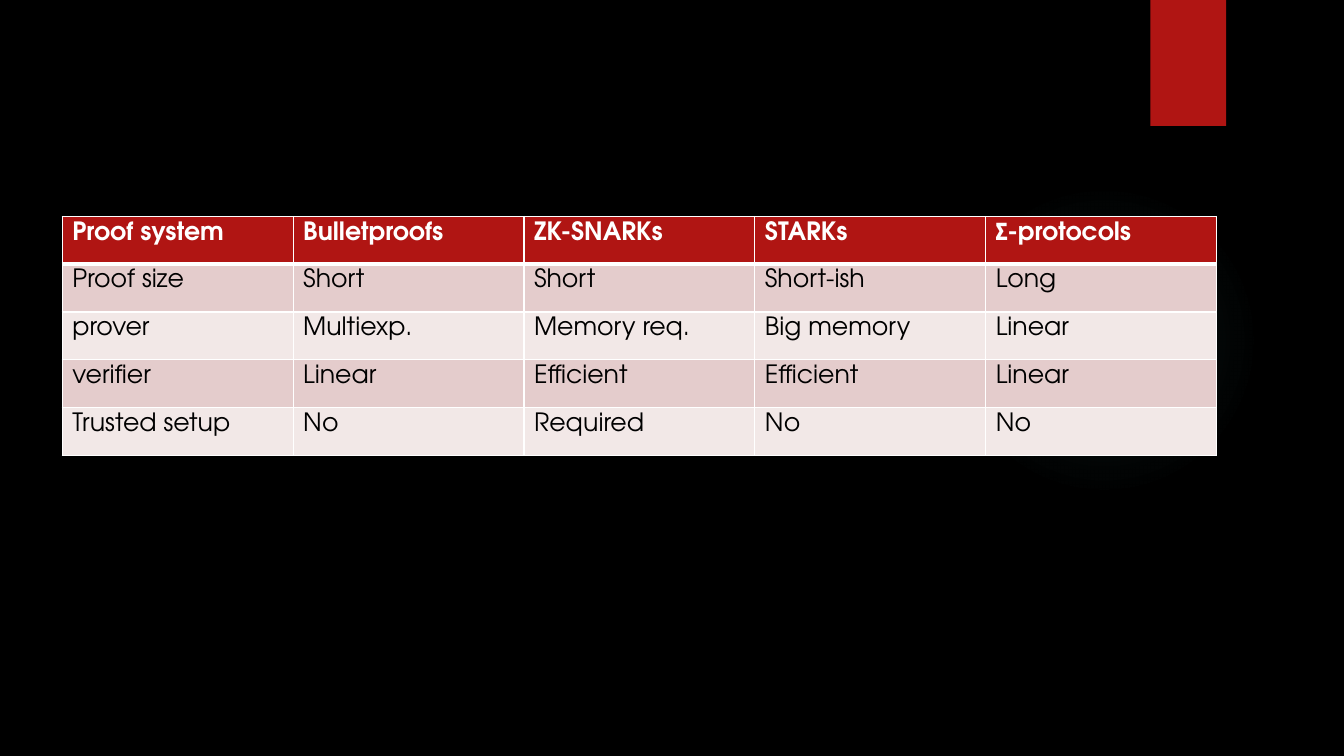
from lxml.etree import SubElement as Sub
from pptx import Presentation
from pptx.dml.color import RGBColor as RGB
from pptx.enum.shapes import MSO_SHAPE as Kind
from pptx.oxml import parse_xml
from pptx.oxml.ns import nsdecls, qn
from pptx.util import Pt

BLACK = RGB(0x00, 0x00, 0x00)
WHITE = RGB(0xFF, 0xFF, 0xFF)
RED = RGB(0xB0, 0x15, 0x13)
ROSE = RGB(0xE4, 0xCC, 0xCC)
PALE = RGB(0xF2, 0xE8, 0xE7)
TEAL = RGB(0x50, 0xB9, 0xC1)

PROOFS = [
    ["Proof system", "Bulletproofs", "ZK-SNARKs", "STARKs", "Σ-protocols"],
    ["Proof size", "Short", "Short", "Short-ish", "Long"],
    ["prover", "Multiexp.", "Memory req.", "Big memory", "Linear"],
    ["verifier", "Linear", "Efficient", "Efficient", "Linear"],
    ["Trusted setup", "No", "Required", "No", "No"],
]


class Deck:
    font = "TeX Gyre Adventor"
    size = Pt(18)

    def __init__(self, wide, high):
        self.file = Presentation()
        self.file.slide_width, self.file.slide_height = Pt(wide), Pt(high)
        self.slide = self.file.slides.add_slide(self.file.slide_layouts[6])

    def back(self, color):
        fill = self.slide.background.fill
        fill.solid()
        fill.fore_color.rgb = color

    def shape(self, kind, x, y, w, h):
        item = self.slide.shapes.add_shape(kind, Pt(x), Pt(y), Pt(w), Pt(h))
        item.shadow.inherit = False
        item.line.fill.background()
        return item

    def glow(self, x, y, side, color, stops):
        item = self.shape(Kind.OVAL, x, y, side, side)
        item.fill.background()
        marks = "".join(
            f'<a:gs pos="{pos * 1000}"><a:srgbClr val="{color}">'
            f'<a:alpha val="{alpha * 1000}"/></a:srgbClr></a:gs>'
            for pos, alpha in stops)
        grad = parse_xml(
            f'<a:gradFill {nsdecls("a")}><a:gsLst>{marks}</a:gsLst>'
            '<a:path path="circle"><a:fillToRect l="50000" t="50000" '
            'r="50000" b="50000"/></a:path></a:gradFill>')
        props = item.element.spPr
        props.replace(props.find(qn("a:noFill")), grad)

    def flag(self, x, y, w, h, color):
        item = self.shape(Kind.RECTANGLE, x, y, w, h)
        item.fill.solid()
        item.fill.fore_color.rgb = color
        # Soft shadow below
        shade = Sub(item.element.spPr.find(qn("a:effectLst")),
                    qn("a:outerShdw"), blurRad=str(Pt(3)), dist=str(Pt(2)),
                    dir="5400000", rotWithShape="0")
        tint = Sub(shade, qn("a:srgbClr"), val=str(BLACK))
        Sub(tint, qn("a:alpha"), val="45000")

    def edge(self, cell, side, width):
        line = Sub(cell._tc.get_or_add_tcPr(), qn(f"a:ln{side}"),
                   w=str(Pt(width)))
        Sub(Sub(line, qn("a:solidFill")), qn("a:srgbClr"), val=str(WHITE))

    def cell(self, cell, text, row):
        head = row == 0
        # Borders come before the fill
        for side in "LRTB":
            thick = (side, row) in (("B", 0), ("T", 1))
            self.edge(cell, side, 3 if thick else 1)
        cell.fill.solid()
        cell.fill.fore_color.rgb = RED if head else ROSE if row % 2 else PALE
        run = cell.text_frame.paragraphs[0].add_run()
        run.text = text
        font = run.font
        font.name, font.size, font.bold = self.font, self.size, head
        font.color.rgb = WHITE if head else BLACK

    def table(self, x, y, w, h, data):
        rows, cols = len(data), len(data[0])
        grid = self.slide.shapes.add_table(
            rows, cols, Pt(x), Pt(y), Pt(w), Pt(h)).table
        for col in grid.columns:
            col.width = Pt(w / cols)
        for r, words in enumerate(data):
            grid.rows[r].height = Pt(h / rows)
            for c, text in enumerate(words):
                self.cell(grid.cell(r, c), text, r)


def main():
    deck = Deck(960, 540)

    # Backdrop
    deck.back(BLACK)
    deck.glow(677.5, 131.8, 221.8, TEAL, [(0, 7), (36, 6), (69, 0)])
    deck.flag(821.8, 0, 54, 90, RED)

    # Comparison of proof systems
    deck.table(44.5, 154.6, 824.5, 170.8, PROOFS)

    deck.file.save("out.pptx")


if __name__ == "__main__":
    main()
